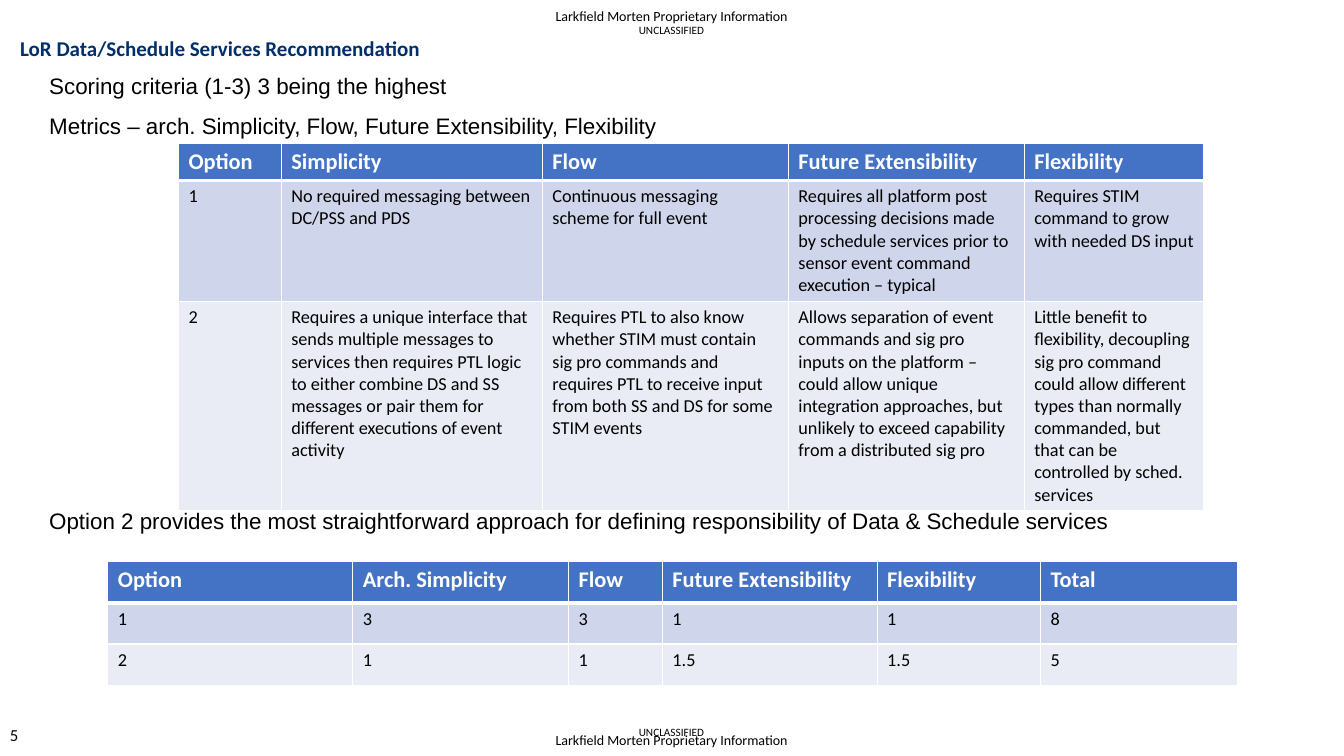
from pptx import Presentation
from pptx.dml.color import RGBColor
from pptx.enum import text as t
from pptx.oxml import parse_xml
from pptx.oxml.ns import nsdecls
from pptx.util import Inches, Pt

NAVY = RGBColor(0x00, 0x2F, 0x6C)
BLUE = RGBColor(0x44, 0x72, 0xC4)
BAND = RGBColor(0xCF, 0xD5, 0xEA)
PALE = RGBColor(0xE9, 0xEB, 0xF5)
WHITE = RGBColor(0xFF, 0xFF, 0xFF)
BLACK = RGBColor(0, 0, 0)
LEFT, MID = t.PP_ALIGN.LEFT, t.PP_ALIGN.CENTER

TITLE = "LoR Data/Schedule Services Recommendation"
OWNER = "Larkfield Morten Proprietary Information"
MARK = "UNCLASSIFIED"
NOTES = [
    "Scoring criteria (1-3) 3 being the highest",
    "Metrics – arch. Simplicity, Flow, Future Extensibility, Flexibility",
    "Option 2 provides the most straightforward approach for defining "
    "responsibility of Data & Schedule services",
]
SCORES = {
    "at": (1.07, 5.57),
    "cols": [2.43, 2.14, 0.93, 2.13, 1.62, 1.96],
    "rows": [0.41, 0.41, 0.41],
    "cells": [
        ["Option", "Arch. Simplicity", "Flow", "Future Extensibility", "Flexibility", "Total"],
        ["1", "3", "3", "1", "1", "8"],
        ["2", "1", "1", "1.5", "1.5", "5"],
    ],
}
REASONS = {
    "at": (1.77, 1.42),
    "cols": [1.02, 2.59, 2.44, 2.34, 1.78],
    "rows": [0.37, 1.2, 2.08],
    "cells": [
        ["Option", "Simplicity", "Flow", "Future Extensibility", "Flexibility"],
        ["1",
         "No required messaging between DC/PSS and PDS",
         "Continuous messaging scheme for full event",
         "Requires all platform post processing decisions made by schedule "
         "services prior to sensor event command execution – typical",
         "Requires STIM command to grow with needed DS input"],
        ["2",
         "Requires a unique interface that sends multiple messages to services "
         "then requires PTL logic to either combine DS and SS messages or pair "
         "them for different executions of event activity",
         "Requires PTL to also know whether STIM must contain sig pro commands "
         "and requires PTL to receive input from both SS and DS for some STIM events",
         "Allows separation of event commands and sig pro inputs on the platform "
         "– could allow unique integration approaches, but unlikely to exceed "
         "capability from a distributed sig pro",
         "Little benefit to flexibility, decoupling sig pro command could allow "
         "different types than normally commanded, but that can be controlled "
         "by sched. services"],
    ],
}


def style(frame, size, color=BLACK, bold=False, face="Calibri", align=LEFT):
    for para in frame.paragraphs:
        para.alignment = align
        for run in para.runs:
            font = run.font
            font.name, font.size, font.bold = face, Pt(size), bold
            font.color.rgb = color


def add_text(slide, words, box, size, inset=True, **look):
    frame = slide.shapes.add_textbox(*map(Inches, box)).text_frame
    frame.word_wrap = True
    if not inset:
        frame.margin_left = frame.margin_right = 0
        frame.margin_top = frame.margin_bottom = 0
    frame.text = words
    style(frame, size, **look)
    return frame


def add_edges(cell, head):
    props = cell._tc.get_or_add_tcPr()
    for side in "LRTB":
        width = Pt(3 if head and side == "B" else 1)
        props.append(parse_xml(
            f'<a:ln{side} {nsdecls("a")} w="{width}"><a:solidFill>'
            f'<a:srgbClr val="{WHITE}"/></a:solidFill></a:ln{side}>'))


def add_grid(slide, at, cols, rows, cells):
    box = (*at, sum(cols), sum(rows))
    grid = slide.shapes.add_table(len(rows), len(cols), *map(Inches, box)).table
    for col, width in zip(grid.columns, cols):
        col.width = Inches(width)
    for r, (row, high) in enumerate(zip(grid.rows, rows)):
        row.height = Inches(high)
        for cell, words in zip(row.cells, cells[r]):
            add_edges(cell, r == 0)
            cell.fill.solid()
            cell.fill.fore_color.rgb = (BLUE, BAND, PALE)[r]
            cell.text_frame.text = words
            if r == 0:
                style(cell.text_frame, 16, WHITE, True)
            else:
                style(cell.text_frame, 13)


def main():
    """Build the recommendation slide with its two option tables."""
    deck = Presentation()
    deck.slide_width, deck.slide_height = Inches(13.33), Inches(7.5)
    slide = deck.slides.add_slide(deck.slide_layouts[5])

    title = slide.shapes.title
    title.left, title.top = Inches(0.1), Inches(0.1)
    title.width, title.height = Inches(10.75), Inches(0.75)
    frame = title.text_frame
    frame.text = TITLE
    frame.vertical_anchor = t.MSO_ANCHOR.MIDDLE
    style(frame, 15, NAVY, True)

    for top in (0.07, 7.26):
        add_text(slide, OWNER, (5.4, top, 2.52, 0.17), 10, inset=False, align=MID)
    for top in (0.2, 7.16):
        mark = add_text(slide, MARK, (4.2, top, 4.92, 0.25), 8, align=MID)
        mark.paragraphs[0].line_spacing = 0.9
    page = add_text(slide, "5", (0, 7.14, 0.67, 0.29), 12)
    page.vertical_anchor = t.MSO_ANCHOR.MIDDLE

    notes = add_text(slide, "\n".join(NOTES), (0.39, 0.71, 12.4, 6.22), 16, face="Arial")
    for para, gap in zip(notes.paragraphs, (6, 6, 260)):
        para.line_spacing = 0.85
        para.space_before, para.space_after = Pt(gap), Pt(6)

    for grid in (SCORES, REASONS):
        add_grid(slide, **grid)
    deck.save("out.pptx")


if __name__ == "__main__":
    main()
